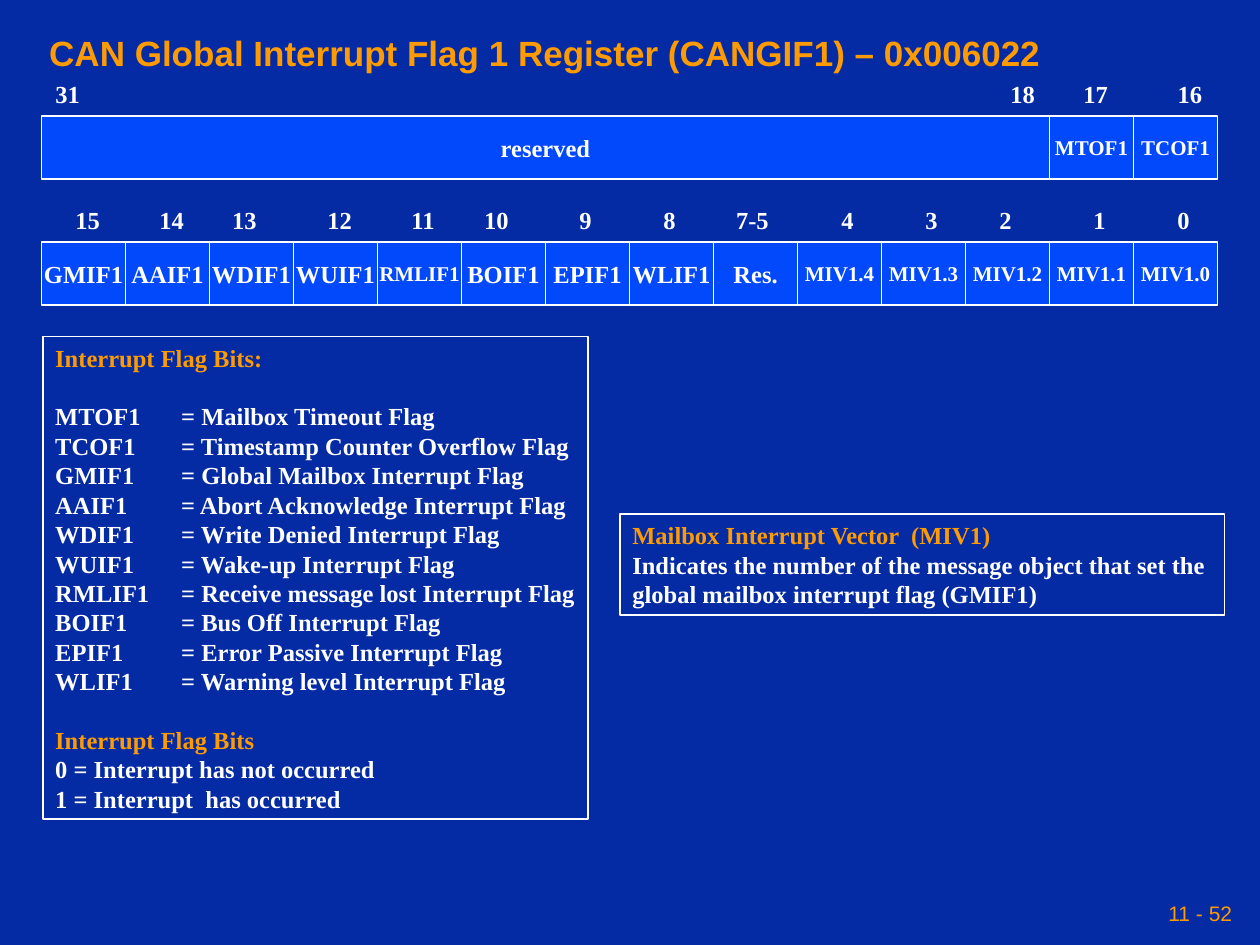
from pptx import Presentation
from pptx.dml.color import RGBColor
from pptx.enum.shapes import MSO_SHAPE as SHAPE
from pptx.enum.text import MSO_ANCHOR as ANCHOR, PP_ALIGN as ALIGN
from pptx.util import Inches, Pt

NAVY, BLUE, ORANGE, WHITE = "042AA4", "0249FC", "FE9B03", "FFFFFF"
SERIF, SANS = "Times New Roman", "Arial"
LEFT, BIT_W, CELL_H, LABEL_H = 0.33, 2 / 3, 0.5, 0.34
LINE = 16.8

TITLE = "CAN Global Interrupt Flag 1 Register (CANGIF1) – 0x006022"
PAGE = "11 - 52"

# Field: name, font size, width in cells, [(bit label, offset from cell left)]
REGISTER_ROWS = [
    (0.92, [
        ("reserved", 14, 12, [("31", 0.01), ("18", 7.59)]),
        ("MTOF1", 12, 1, [("17", 0.17)]),
        ("TCOF1", 12, 1, [("16", 0.25)]),
    ]),
    (1.92, [
        ("GMIF1", 14, 1, [("15", 0.17)]),
        ("AAIF1", 14, 1, [("14", 0.17)]),
        ("WDIF1", 14, 1, [("13", 0.08)]),
        ("WUIF1", 14, 1, [("12", 0.17)]),
        ("RMLIF1", 12, 1, [("11", 0.17)]),
        ("BOIF1", 14, 1, [("10", 0.08)]),
        ("EPIF1", 14, 1, [("9", 0.17)]),
        ("WLIF1", 14, 1, [("8", 0.17)]),
        ("Res.", 14, 1, [("7-5", 0.08)]),
        ("MIV1.4", 12, 1, [("4", 0.25)]),
        ("MIV1.3", 12, 1, [("3", 0.25)]),
        ("MIV1.2", 12, 1, [("2", 0.17)]),
        ("MIV1.1", 12, 1, [("1", 0.25)]),
        ("MIV1.0", 12, 1, [("0", 0.25)]),
    ]),
]
LABEL_W = {1: 0.3, 2: 0.39, 3: 0.46}

FLAGS = [
    ("MTOF1", "Mailbox Timeout Flag"),
    ("TCOF1", "Timestamp Counter Overflow Flag"),
    ("GMIF1", "Global Mailbox Interrupt Flag"),
    ("AAIF1", "Abort Acknowledge Interrupt Flag"),
    ("WDIF1", "Write Denied Interrupt Flag"),
    ("WUIF1", "Wake-up Interrupt Flag"),
    ("RMLIF1", "Receive message lost Interrupt Flag"),
    ("BOIF1", "Bus Off Interrupt Flag"),
    ("EPIF1", "Error Passive Interrupt Flag"),
    ("WLIF1", "Warning level Interrupt Flag"),
]

# Note line: text, colour, space before in points
FLAG_NOTES = (
    [("Interrupt Flag Bits:", ORANGE, 0)]
    + [(f"{name}\t= {meaning}", WHITE, 0 if i else LINE)
       for i, (name, meaning) in enumerate(FLAGS)]
    + [("Interrupt Flag Bits", ORANGE, LINE),
       ("0 = Interrupt has not occurred", WHITE, 0),
       ("1 = Interrupt  has occurred", WHITE, 0)]
)
VECTOR_NOTES = [
    ("Mailbox Interrupt Vector  (MIV1)", ORANGE, 0),
    ("Indicates the number of the message object that set the", WHITE, 0),
    ("global mailbox interrupt flag (GMIF1)", WHITE, 0),
]


def rgb(color):
    return RGBColor.from_string(color)


def add_run(p, text, size, color, font=SERIF, bold=True):
    r = p.add_run()
    r.text = text
    r.font.name, r.font.size, r.font.bold = font, Pt(size), bold
    r.font.color.rgb = rgb(color)


def add_box(s, x, y, w, h, fill=None):
    """Add a white-outlined rectangle and return its text frame."""
    sp = s.shapes.add_shape(SHAPE.RECTANGLE, *map(Inches, (x, y, w, h)))
    sp.shadow.inherit = False
    if fill:
        sp.fill.solid()
        sp.fill.fore_color.rgb = rgb(fill)
    else:
        sp.fill.background()
    sp.line.color.rgb = rgb(WHITE)
    sp.line.width = Pt(1)
    sp.text_frame.word_wrap = False
    return sp.text_frame


def add_label(s, x, y, w, h):
    """Add a text box whose text may use all the room to its right edge."""
    tf = s.shapes.add_textbox(*map(Inches, (x, y, w, h))).text_frame
    tf.word_wrap = True
    tf.margin_right = 0
    return tf


def add_register_row(s, top, fields):
    x = LEFT
    for name, size, cells, labels in fields:
        tf = add_box(s, x, top, cells * BIT_W, CELL_H, BLUE)
        tf.vertical_anchor = ANCHOR.MIDDLE
        p = tf.paragraphs[0]
        p.alignment = ALIGN.CENTER
        add_run(p, name, size, WHITE)
        for bit, offset in labels:
            tf = add_label(s, x + offset, top - LABEL_H, LABEL_W[len(bit)], LABEL_H)
            add_run(tf.paragraphs[0], bit, 14, WHITE)
        x += cells * BIT_W


def add_notes(s, x, y, w, h, lines):
    tf = add_box(s, x, y, w, h)
    tf.vertical_anchor = ANCHOR.TOP
    for i, (text, color, gap) in enumerate(lines):
        p = tf.add_paragraph() if i else tf.paragraphs[0]
        p.alignment = ALIGN.LEFT
        p.line_spacing = Pt(LINE)
        p.space_before = Pt(gap)
        add_run(p, text, 14, color)


def main():
    prs = Presentation()
    prs.slide_width, prs.slide_height = Inches(10), Inches(7.5)
    s = prs.slides.add_slide(prs.slide_layouts[5])
    s.background.fill.solid()
    s.background.fill.fore_color.rgb = rgb(NAVY)

    title = s.shapes.title
    title.left, title.top, title.width, title.height = map(
        Inches, (0.29, 0.2, 9.37, 0.43))
    title.text_frame.vertical_anchor = ANCHOR.TOP
    p = title.text_frame.paragraphs[0]
    p.alignment = ALIGN.LEFT
    add_run(p, TITLE, 20, ORANGE, SANS)

    for top, fields in REGISTER_ROWS:
        add_register_row(s, top, fields)
    add_notes(s, 0.34, 2.67, 4.33, 3.83, FLAG_NOTES)
    add_notes(s, 4.92, 4.08, 4.8, 0.8, VECTOR_NOTES)

    tf = add_label(s, 6.83, 7.08, 3, 0.33)
    tf.margin_right = Inches(0.05)
    tf.vertical_anchor = ANCHOR.MIDDLE
    p = tf.paragraphs[0]
    p.alignment = ALIGN.RIGHT
    add_run(p, PAGE, 12, ORANGE, SANS, bold=False)

    prs.save("out.pptx")


if __name__ == "__main__":
    main()
